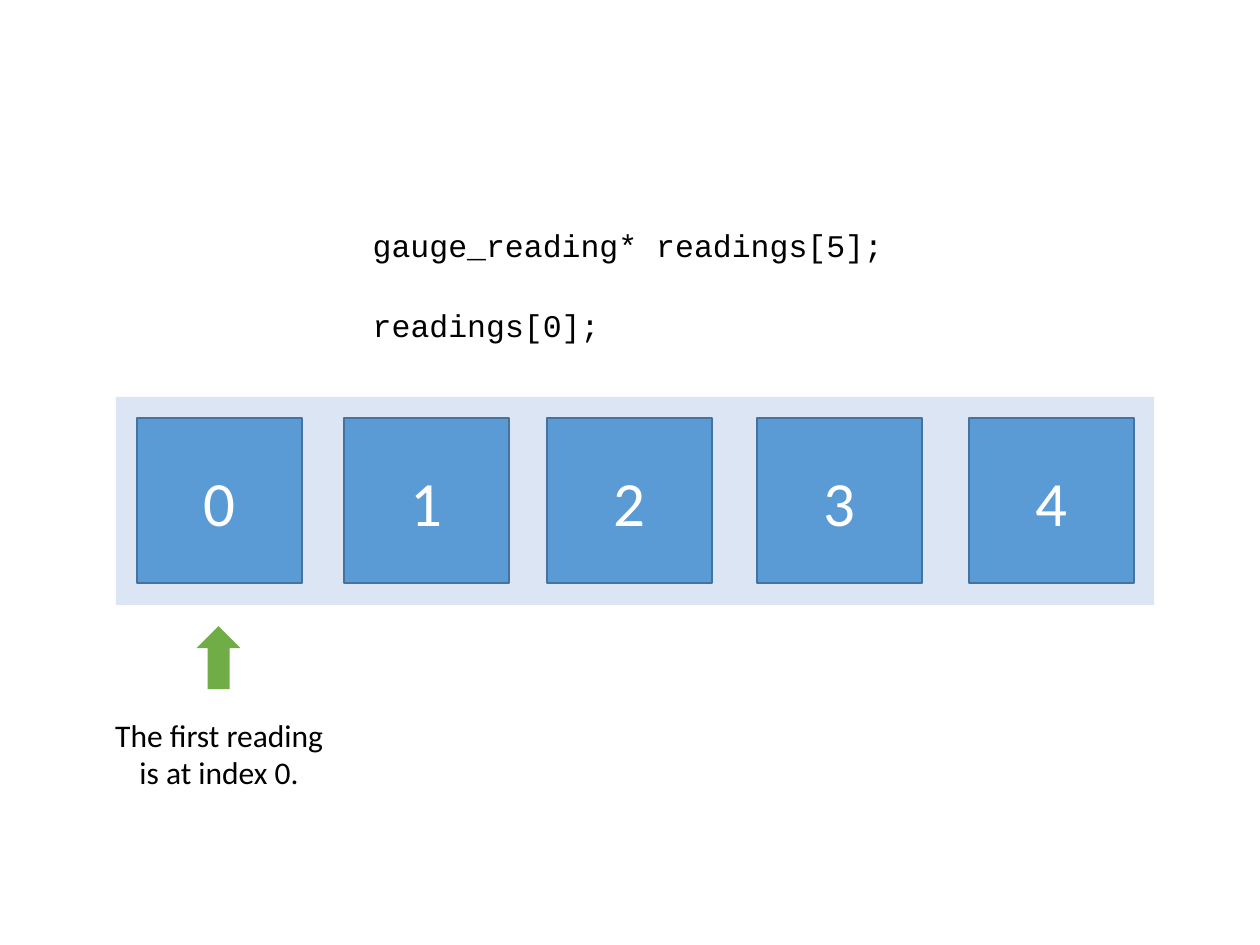
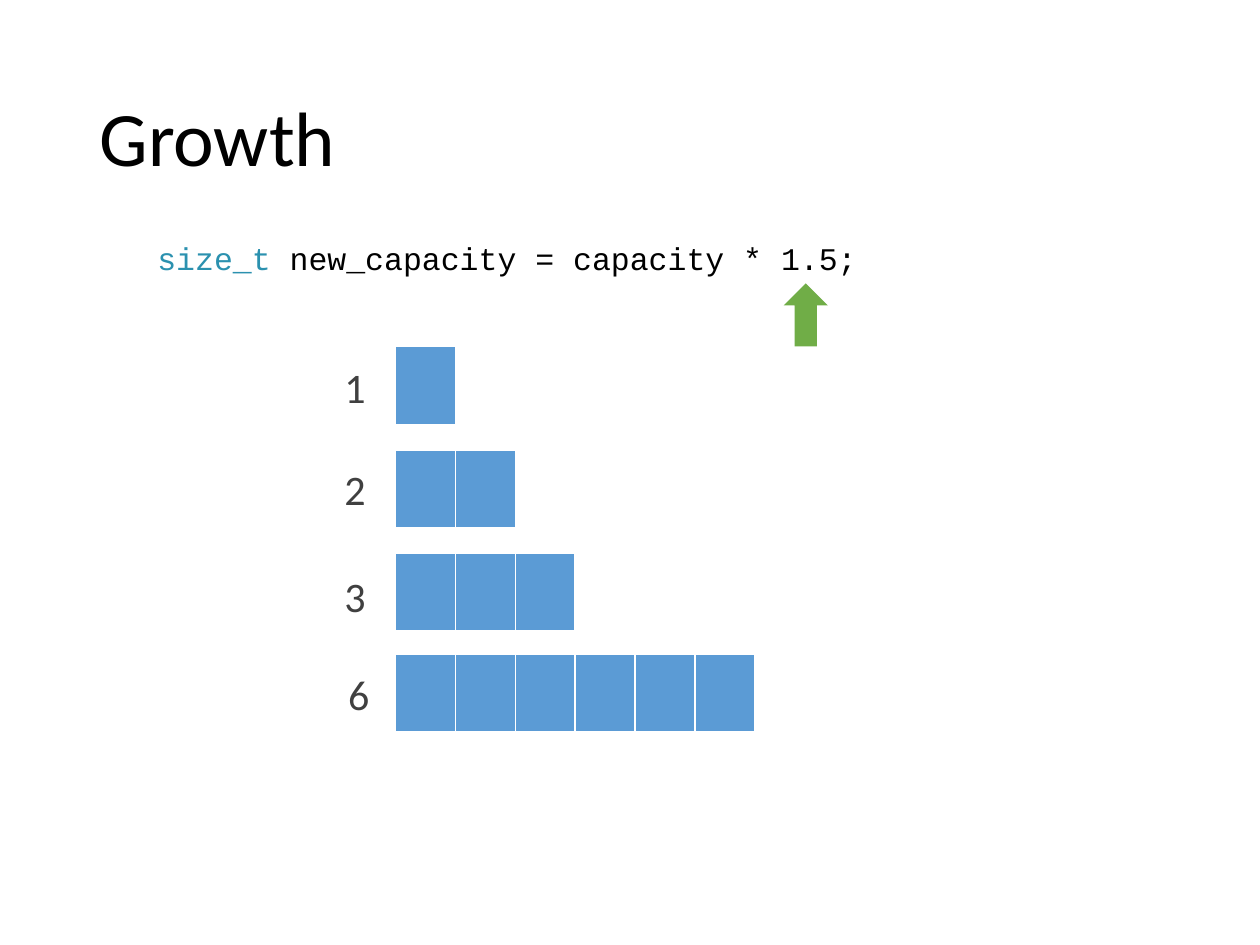
from lxml import etree
from pptx import Presentation
from pptx.dml.color import RGBColor
from pptx.enum.shapes import MSO_SHAPE
from pptx.enum.text import MSO_ANCHOR, MSO_AUTO_SIZE, PP_ALIGN
from pptx.oxml.ns import qn
from pptx.util import Inches, Pt

RECTANGLE, UP_ARROW = MSO_SHAPE.RECTANGLE, MSO_SHAPE.UP_ARROW
MIDDLE, TOP = MSO_ANCHOR.MIDDLE, MSO_ANCHOR.TOP
LEFT, CENTER, RIGHT = PP_ALIGN.LEFT, PP_ALIGN.CENTER, PP_ALIGN.RIGHT
FIT_SHAPE = MSO_AUTO_SIZE.SHAPE_TO_FIT_TEXT

BLUE = RGBColor(0x5B, 0x9B, 0xD5)
DARK_BLUE = RGBColor(0x43, 0x73, 0x9E)
PALE_BLUE = RGBColor(0xDA, 0xE3, 0xF3)
GREEN = RGBColor(0x70, 0xAD, 0x47)
TEAL = RGBColor(0x2B, 0x91, 0xAF)
GRAY = RGBColor(0x40, 0x40, 0x40)
BLACK = RGBColor(0, 0, 0)
WHITE = RGBColor(255, 255, 255)

BODY_FONT = "Calibri"
CODE_FONT = "Courier New"
TITLE_ONLY, BLANK = 5, 6
BORDERS = (("a:lnL", 1), ("a:lnR", 1), ("a:lnT", 1), ("a:lnB", 3))


def to_inches(box):
    return [Inches(length) for length in box]


def format_run(run, size, color, font=BODY_FONT):
    run.font.size = Pt(size)
    run.font.name = font
    run.font.color.rgb = color


def add_text(slide, box, parts, size=18, font=BODY_FONT, align=LEFT, wrap=True, spacing=1.0):
    text_frame = slide.shapes.add_textbox(*to_inches(box)).text_frame
    text_frame.word_wrap = wrap
    text_frame.auto_size = FIT_SHAPE
    text_frame.vertical_anchor = TOP
    paragraph = text_frame.paragraphs[0]
    paragraph.alignment = align
    paragraph.line_spacing = spacing
    for text, color in parts:
        run = paragraph.add_run()
        run.text = text
        format_run(run, size, color, font)


def add_code(slide, box, parts, spacing=1.07):
    add_text(slide, box, parts, font=CODE_FONT, wrap=False, spacing=spacing)


def add_block(slide, kind, box, fill, line=None):
    shape = slide.shapes.add_shape(kind, *to_inches(box))
    shape.shadow.inherit = False
    shape.fill.solid()
    shape.fill.fore_color.rgb = fill
    if line is None:
        shape.line.fill.background()
    else:
        shape.line.color.rgb = line
        shape.line.width = Pt(1)
    return shape


def add_pointer(slide, left, top):
    add_block(slide, UP_ARROW, (left, top, 0.35, 0.5), GREEN)


def add_title(slide, text):
    title = slide.shapes.title
    title.left, title.top, title.width, title.height = to_inches((0.69, 0.4, 8.62, 1.45))
    title.text_frame.text = text
    title.text_frame.vertical_anchor = MIDDLE
    paragraph = title.text_frame.paragraphs[0]
    paragraph.alignment = LEFT
    paragraph.line_spacing = 0.9
    format_run(paragraph.runs[0], 44, BLACK)


def add_array(slide, left, top, width, height):
    band = add_block(slide, RECTANGLE, (left, top, width, height), PALE_BLUE)
    color = band.fill._xPr.find(qn("a:solidFill"))[0]
    etree.SubElement(color, qn("a:alpha"), val="92000")
    padding = 0.17
    side = height - 2 * padding
    for index, offset in enumerate((0.17, 1.81, 3.42, 5.09, 6.77)):
        box = (left + offset, top + padding, side, side)
        element = add_block(slide, RECTANGLE, box, BLUE, DARK_BLUE)
        element.text_frame.text = str(index)
        element.text_frame.vertical_anchor = MIDDLE
        paragraph = element.text_frame.paragraphs[0]
        paragraph.alignment = CENTER
        format_run(paragraph.runs[0], 36, WHITE)


def style_cell(cell):
    cell.fill.solid()
    cell.fill.fore_color.rgb = BLUE
    properties = cell._tc.get_or_add_tcPr()
    for position, (tag, width) in enumerate(BORDERS):
        border = etree.Element(qn(tag), w=str(Pt(width)))
        fill = etree.SubElement(border, qn("a:solidFill"))
        etree.SubElement(fill, qn("a:srgbClr"), val=str(WHITE))
        properties.insert(position, border)


def add_capacity_row(slide, left, top, capacity):
    width, height = 0.475 * capacity, 0.63
    box = to_inches((left, top, width, height))
    table = slide.shapes.add_table(1, capacity, *box).table
    for cell in table.iter_cells():
        style_cell(cell)


def build_indexing_slide(presentation):
    slide = presentation.slides.add_slide(presentation.slide_layouts[BLANK])
    add_code(slide, (2.86, 1.72, 4.27, 0.43), [("gauge_reading* readings[5];", BLACK)])
    add_array(slide, 0.92, 3.15, 8.24, 1.65)
    add_pointer(slide, 1.56, 4.97)
    add_text(slide, (0.81, 5.63, 1.86, 0.71),
             [("The first reading is at index 0.", BLACK)], align=CENTER)
    add_code(slide, (2.86, 2.36, 2.01, 0.42), [("readings[0];", BLACK)])


def build_growth_slide(presentation):
    slide = presentation.slides.add_slide(presentation.slide_layouts[TITLE_ONLY])
    add_title(slide, "Growth")
    add_code(slide, (1.15, 1.85, 5.78, 0.4),
             [("size_t ", TEAL), ("new_capacity = capacity * 1.5;", BLACK)], spacing=1.0)
    add_pointer(slide, 6.22, 2.25)
    rows = ((1, 2.75, 2.29, 2.82), (2, 3.57, 2.29, 3.63),
            (3, 4.39, 2.29, 4.48), (6, 5.19, 2.32, 5.26))
    for capacity, top, label_left, label_top in rows:
        add_capacity_row(slide, 3.14, top, capacity)
        add_text(slide, (label_left, label_top, 0.71, 0.5),
                 [(str(capacity), GRAY)], size=24, align=RIGHT)


def main():
    presentation = Presentation()
    presentation.slide_width = Inches(10)
    presentation.slide_height = Inches(7.5)
    build_indexing_slide(presentation)
    build_growth_slide(presentation)
    presentation.save("out.pptx")


if __name__ == "__main__":
    main()
